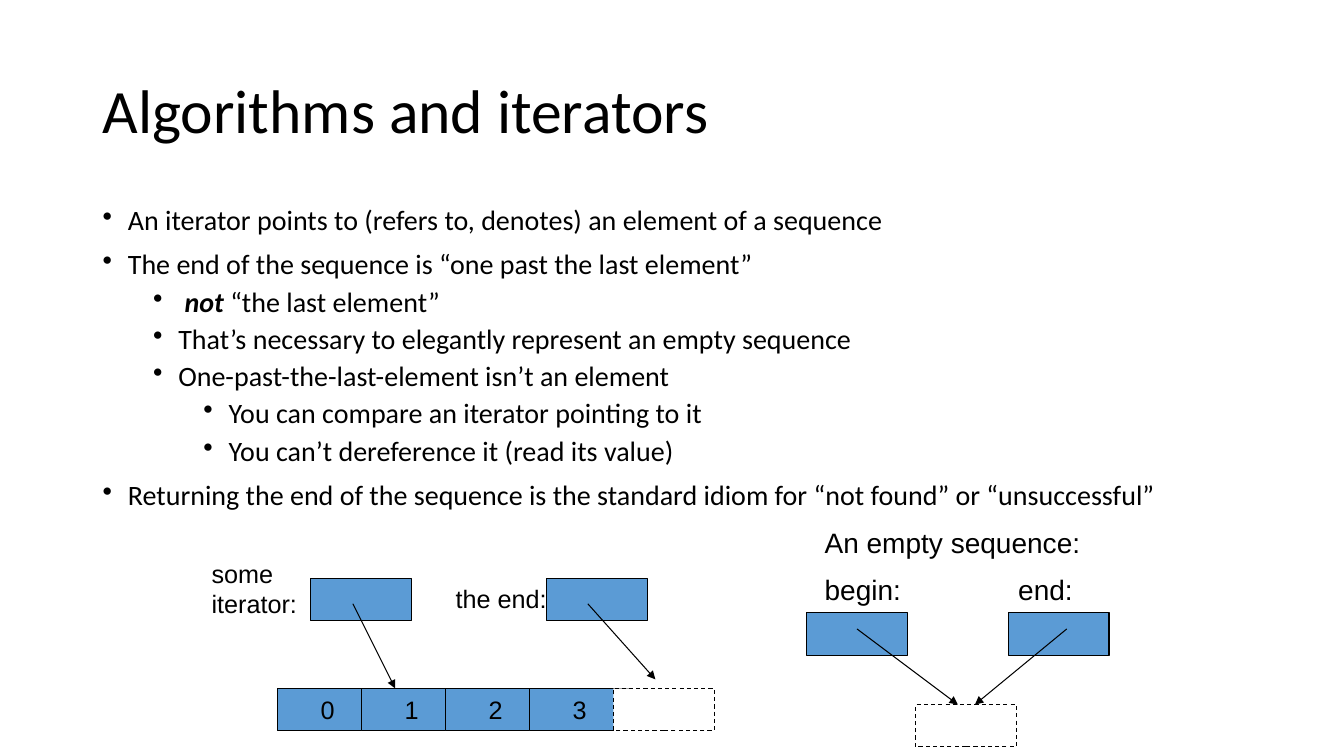
from typing import NamedTuple

from lxml import etree
from pptx import Presentation, util as u
from pptx.dml.color import RGBColor
from pptx.enum import dml, shapes, text
from pptx.oxml import ns

BLACK = RGBColor(0x00, 0x00, 0x00)
WHITE = RGBColor(0xFF, 0xFF, 0xFF)
BLUE = RGBColor(0x5B, 0x9B, 0xD5)
THIN = u.Pt(0.75)
BOX_W, BOX_H = 1, 0.42
CELL_X, CELL_Y, STEP = 2.75, 6.83, 5 / 6


class Point(NamedTuple):
    level: int
    words: str
    strong: str = ""  # bold italic lead


class Box(NamedTuple):
    x: float
    y: float
    label: str = ""
    past: bool = False  # the place one past the last element


class Arrow(NamedTuple):
    x1: float
    y1: float
    x2: float
    y2: float


class Label(NamedTuple):
    x: float
    y: float
    w: float
    h: float
    size: int
    lines: tuple[str, ...]


POINTS = [
    Point(0, "An iterator points to (refers to, denotes) an element of a sequence"),
    Point(0, "The end of the sequence is “one past the last element”"),
    Point(1, "“the last element”", " not "),
    Point(1, "That’s necessary to elegantly represent an empty sequence"),
    Point(1, "One-past-the-last-element isn’t an element"),
    Point(2, "You can compare an iterator pointing to it"),
    Point(2, "You can’t dereference it (read its value)"),
    Point(0, "Returning the end of the sequence is the standard idiom for "
             "“not found” or “unsuccessful”"),
]
CELLS = [Box(CELL_X + i * STEP, CELL_Y, str(i)) for i in range(4)]
BOXES = [
    Box(3.08, 5.74), Box(5.42, 5.74), *CELLS,
    Box(CELL_X + 4 * STEP, CELL_Y, past=True),
    Box(8, 6.08), Box(10, 6.08), Box(9.08, 6.99, past=True),
]
ARROWS = [
    Arrow(3.5, 5.99, 3.92, 6.83),
    Arrow(5.83, 5.99, 6.5, 6.74),
    Arrow(8.5, 6.24, 9.5, 6.99),
    Arrow(10.58, 6.24, 9.67, 6.99),
]
LABELS = [
    Label(2, 5.49, 1.08, 0.7, 18, ("some iterator:",)),
    Label(4.42, 5.74, 1.17, 0.4, 18, ("the end:",)),
    Label(8.08, 5.16, 2.92, 0.94, 20, ("An empty sequence:", "begin:\tend:")),
]

deck = Presentation()
deck.slide_width, deck.slide_height = u.Inches(13.33), u.Inches(7.5)
slide = deck.slides.add_slide(deck.slide_layouts[6])


def add_frame(x: float, y: float, w: float, h: float):
    area = [u.Inches(n) for n in (x, y, w, h)]
    frame = slide.shapes.add_textbox(*area).text_frame
    frame.word_wrap = True
    return frame


def set_font(para, name: str, size: int) -> None:
    para.font.name, para.font.size = name, u.Pt(size)
    para.font.color.rgb = BLACK


def next_para(frame, index: int):
    return frame.add_paragraph() if index else frame.paragraphs[0]


def add_point(para, point: Point) -> None:
    props = para._p.get_or_add_pPr()
    props.set("marL", str(u.Inches(0.25 + 0.5 * point.level)))
    props.set("indent", str(u.Inches(-0.25)))
    etree.SubElement(props, ns.qn("a:buChar"), char="•")
    para.level = point.level
    para.line_spacing = 0.9
    para.space_before = u.Pt(5 if point.level else 10)
    set_font(para, "Calibri", 20)
    if point.strong:
        lead = para.add_run()
        lead.text = point.strong
        lead.font.bold = lead.font.italic = True
    para.add_run().text = point.words


def add_box(box: Box) -> None:
    area = [u.Inches(n) for n in (box.x, box.y, BOX_W, BOX_H)]
    shape = slide.shapes.add_shape(shapes.MSO_SHAPE.RECTANGLE, *area)
    shape.shadow.inherit = False
    shape.fill.solid()
    shape.fill.fore_color.rgb = WHITE if box.past else BLUE
    shape.line.color.rgb, shape.line.width = BLACK, THIN
    if box.past:
        shape.line.dash_style = dml.MSO_LINE.DASH
    if box.label:
        frame = shape.text_frame
        frame.word_wrap = False
        frame.vertical_anchor = text.MSO_ANCHOR.MIDDLE
        para = frame.paragraphs[0]
        para.text, para.alignment = box.label, text.PP_ALIGN.CENTER
        set_font(para, "Arial", 18)


def add_arrow(arrow: Arrow) -> None:
    ends = [u.Inches(n) for n in arrow]
    line = slide.shapes.add_connector(shapes.MSO_CONNECTOR.STRAIGHT, *ends)
    line.line.color.rgb, line.line.width = BLACK, THIN
    etree.SubElement(line.line._get_or_add_ln(), ns.qn("a:tailEnd"), type="triangle")
    etree.SubElement(line._element.spPr, ns.qn("a:effectLst"))


def add_label(label: Label) -> None:
    frame = add_frame(label.x, label.y, label.w, label.h)
    frame.auto_size = text.MSO_AUTO_SIZE.SHAPE_TO_FIT_TEXT
    for i, words in enumerate(label.lines):
        para = next_para(frame, i)
        if "\t" in words:
            tabs = etree.SubElement(para._p.get_or_add_pPr(), ns.qn("a:tabLst"))
            etree.SubElement(tabs, ns.qn("a:tab"), pos=str(u.Inches(1.92)), algn="l")
        para.text = words
        para.space_before = u.Pt(label.size / 2)
        set_font(para, "Arial", label.size)


# Title
head = add_frame(0.92, 0.4, 11.5, 1.45)
head.vertical_anchor = text.MSO_ANCHOR.MIDDLE
title = head.paragraphs[0]
title.text, title.line_spacing = "Algorithms and iterators", 0.9
set_font(title, "Calibri", 44)

# Bullet points
body = add_frame(0.92, 2, 11.5, 3.16)
for i, point in enumerate(POINTS):
    add_point(next_para(body, i), point)

# Diagrams: a sequence of four elements and an empty one
for box in BOXES:
    add_box(box)
for arrow in ARROWS:
    add_arrow(arrow)
for label in LABELS:
    add_label(label)

deck.save("out.pptx")
